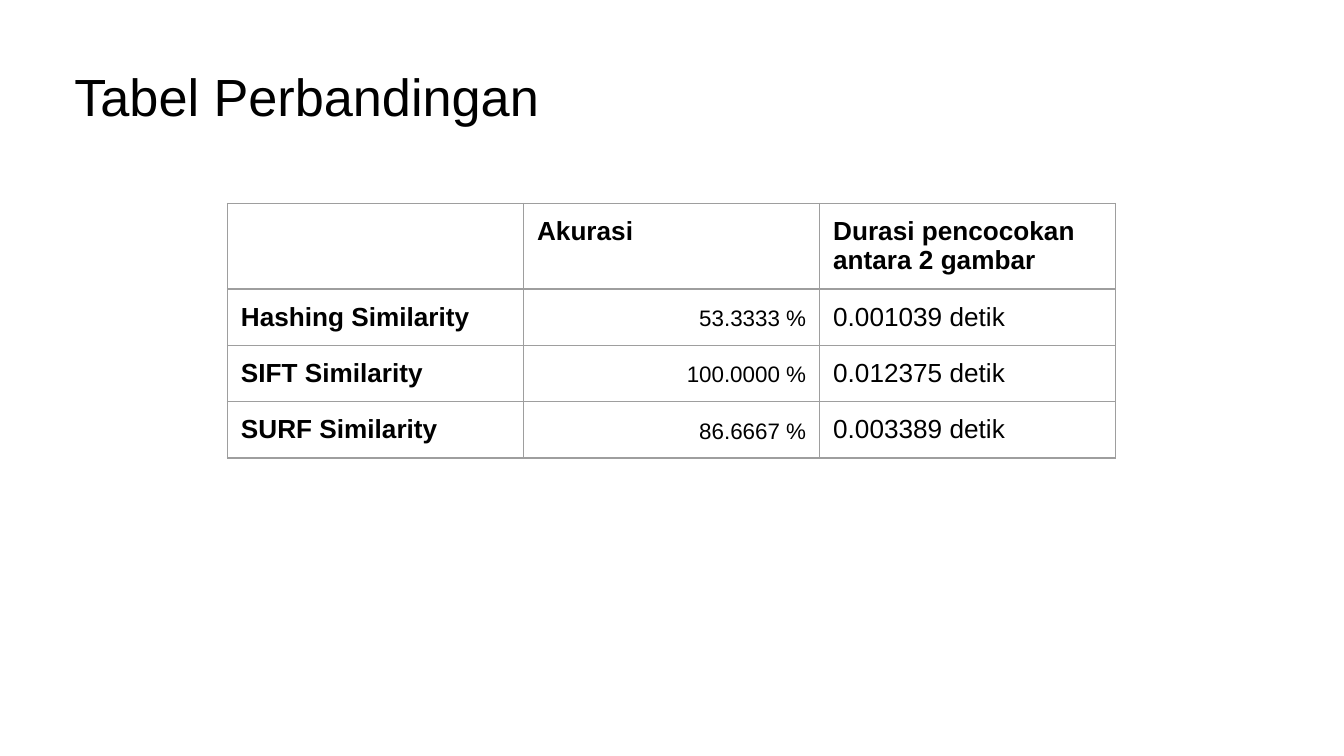
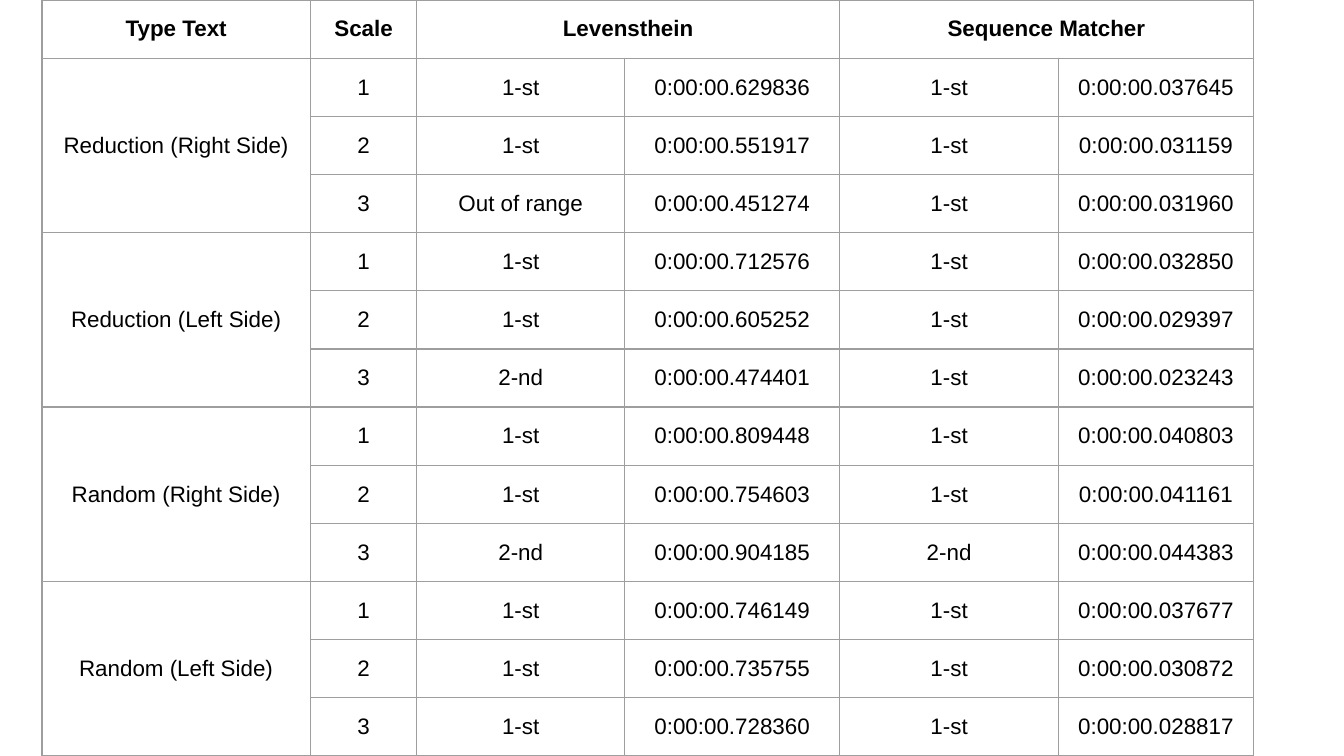
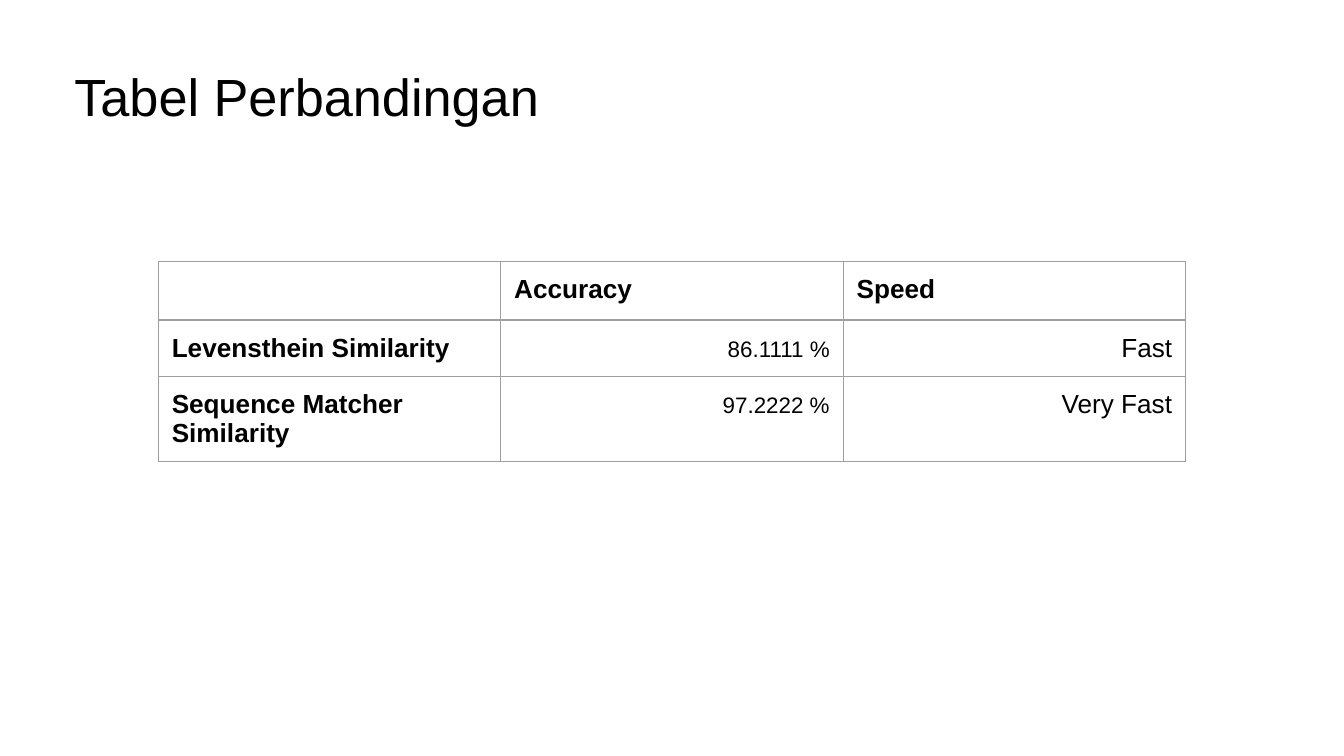
from pptx import Presentation
from pptx.dml.color import RGBColor
from pptx.enum.text import MSO_ANCHOR as Anchor, MSO_AUTO_SIZE as AutoSize, PP_ALIGN as Align
from pptx.oxml import parse_xml
from pptx.oxml.ns import nsdecls
from pptx.util import Inches, Pt

SLIDE_W = Inches(10)
SLIDE_H = SLIDE_W * 9 // 16
FONT, INK, RULE = "Arial", "000000", "9E9E9E"
INSET = Inches(0.1)
TITLE_ONLY, BLANK = 5, 6
TITLE_BOX = (4.53, 6.75, 38.1, 14.8)

ACCURACY_DURATION = [
    ["", "Akurasi", "Durasi pencocokan antara 2 gambar"],
    ["Hashing Similarity", "53.3333 %", "0.001039 detik"],
    ["SIFT Similarity", "100.0000 %", "0.012375 detik"],
    ["SURF Similarity", "86.6667 %", "0.003389 detik"],
]
ACCURACY_SPEED = [
    ["", "Accuracy", "Speed"],
    ["Levensthein Similarity", "86.1111 %", "Fast"],
    ["Sequence Matcher Similarity", "97.2222 %", "Very Fast"],
]
# Each trial: Levensthein rank and time, Sequence Matcher rank and time
TRIALS = {
    "Reduction (Right Side)": [
        ("1-st", "0:00:00.629836", "1-st", "0:00:00.037645"),
        ("1-st", "0:00:00.551917", "1-st", "0:00:00.031159"),
        ("Out of range", "0:00:00.451274", "1-st", "0:00:00.031960"),
    ],
    "Reduction (Left Side)": [
        ("1-st", "0:00:00.712576", "1-st", "0:00:00.032850"),
        ("1-st", "0:00:00.605252", "1-st", "0:00:00.029397"),
        ("2-nd", "0:00:00.474401", "1-st", "0:00:00.023243"),
    ],
    "Random (Right Side)": [
        ("1-st", "0:00:00.809448", "1-st", "0:00:00.040803"),
        ("1-st", "0:00:00.754603", "1-st", "0:00:00.041161"),
        ("2-nd", "0:00:00.904185", "2-nd", "0:00:00.044383"),
    ],
    "Random (Left Side)": [
        ("1-st", "0:00:00.746149", "1-st", "0:00:00.037677"),
        ("1-st", "0:00:00.735755", "1-st", "0:00:00.030872"),
        ("1-st", "0:00:00.728360", "1-st", "0:00:00.028817"),
    ],
}


def color(hex_code):
    return RGBColor.from_string(hex_code)


def across(percent):
    return round(SLIDE_W * percent / 100)


def down(percent):
    return round(SLIDE_H * percent / 100)


def place(box):
    """Turn left, top, width, height in percent of the slide into lengths."""
    left, top, width, height = box
    return across(left), down(top), across(width), down(height)


def write(frame, text, size=14, bold=False, align=Align.LEFT, spacing=None, after=None):
    paragraph = frame.paragraphs[0]
    paragraph.alignment = align
    paragraph.line_spacing = spacing
    if after is not None:
        paragraph.space_after = Pt(after)
    if not text:
        paragraph._p.get_or_add_endParaRPr().set("sz", str(size * 100))
        return
    run = paragraph.add_run()
    run.text = text
    run.font.name, run.font.size, run.font.bold = FONT, Pt(size), bold
    run.font.color.rgb = color(INK)


def add_title(slide, text):
    title = slide.shapes.title
    title.left, title.top, title.width, title.height = place(TITLE_BOX)
    frame = title.text_frame
    frame.auto_size, frame.word_wrap = AutoSize.NONE, True
    frame.vertical_anchor = Anchor.TOP
    frame.margin_left = frame.margin_right = frame.margin_top = frame.margin_bottom = INSET
    write(frame, text, size=28)


def style_cell(cell, anchor):
    cell.margin_left = cell.margin_right = cell.margin_top = cell.margin_bottom = INSET
    cell.vertical_anchor = anchor
    properties = cell._tc.get_or_add_tcPr()
    for side in ("lnL", "lnR", "lnT", "lnB"):
        properties.append(parse_xml(
            f'<a:{side} {nsdecls("a")} w="{Pt(0.75)}"><a:solidFill>'
            f'<a:srgbClr val="{RULE}"/></a:solidFill></a:{side}>'))
    cell.fill.background()


def add_grid(slide, box, rows, column_shares, row_height, cell_format, anchor=Anchor.TOP):
    """Draw a ruled table; cell_format(row, column) gives the text format of a cell."""
    frame = slide.shapes.add_table(len(rows), len(column_shares), *place(box))
    table = frame.table
    table.first_row = table.horz_banding = False
    for column, share in zip(table.columns, column_shares):
        column.width = across(box[2] * share / sum(column_shares))
    for r, texts in enumerate(rows):
        table.rows[r].height = down(row_height)
        for c, text in enumerate(texts):
            style_cell(table.cell(r, c), anchor)
            write(table.cell(r, c).text_frame, text, **cell_format(r, c))
    frame.height = down(box[3])
    return table


def comparison_slide(deck, box, rows, last_align):
    slide = deck.slides.add_slide(deck.slide_layouts[TITLE_ONLY])
    add_title(slide, "Tabel Perbandingan")

    def cell_format(r, c):
        if r == 0 or c == 0:
            return dict(bold=True)
        if c == 1:
            return dict(size=12, align=Align.RIGHT, spacing=1.15, after=16)
        return dict(align=last_align)

    add_grid(slide, box, rows, [1, 1, 1], 7.45, cell_format)


def trials_slide(deck):
    slide = deck.slides.add_slide(deck.slide_layouts[BLANK])
    rows = [["Type Text", "Scale", "Levensthein", "", "Sequence Matcher", ""]]
    for kind, trials in TRIALS.items():
        for scale, results in enumerate(trials, 1):
            rows.append([kind if scale == 1 else "", str(scale), *results])

    def cell_format(r, c):
        return dict(size=12, bold=r == 0, align=Align.CENTER)

    table = add_grid(slide, (3.12, 0, 90.15, 100), rows, [20, 7.9, 15.5, 16, 16.3, 14.5],
                     100 / len(rows), cell_format, Anchor.MIDDLE)
    for c in (2, 4):
        table.cell(0, c).merge(table.cell(0, c + 1))
    first = 1
    for trials in TRIALS.values():
        last = first + len(trials) - 1
        table.cell(first, 0).merge(table.cell(last, 0))
        first = last + 1


def main():
    deck = Presentation()
    deck.slide_width, deck.slide_height = SLIDE_W, SLIDE_H
    comparison_slide(deck, (16.93, 26.9, 66.1, 35), ACCURACY_DURATION, Align.LEFT)
    trials_slide(deck)
    comparison_slide(deck, (11.78, 34.55, 76.45, 27.2), ACCURACY_SPEED, Align.RIGHT)
    deck.save("out.pptx")


if __name__ == "__main__":
    main()
